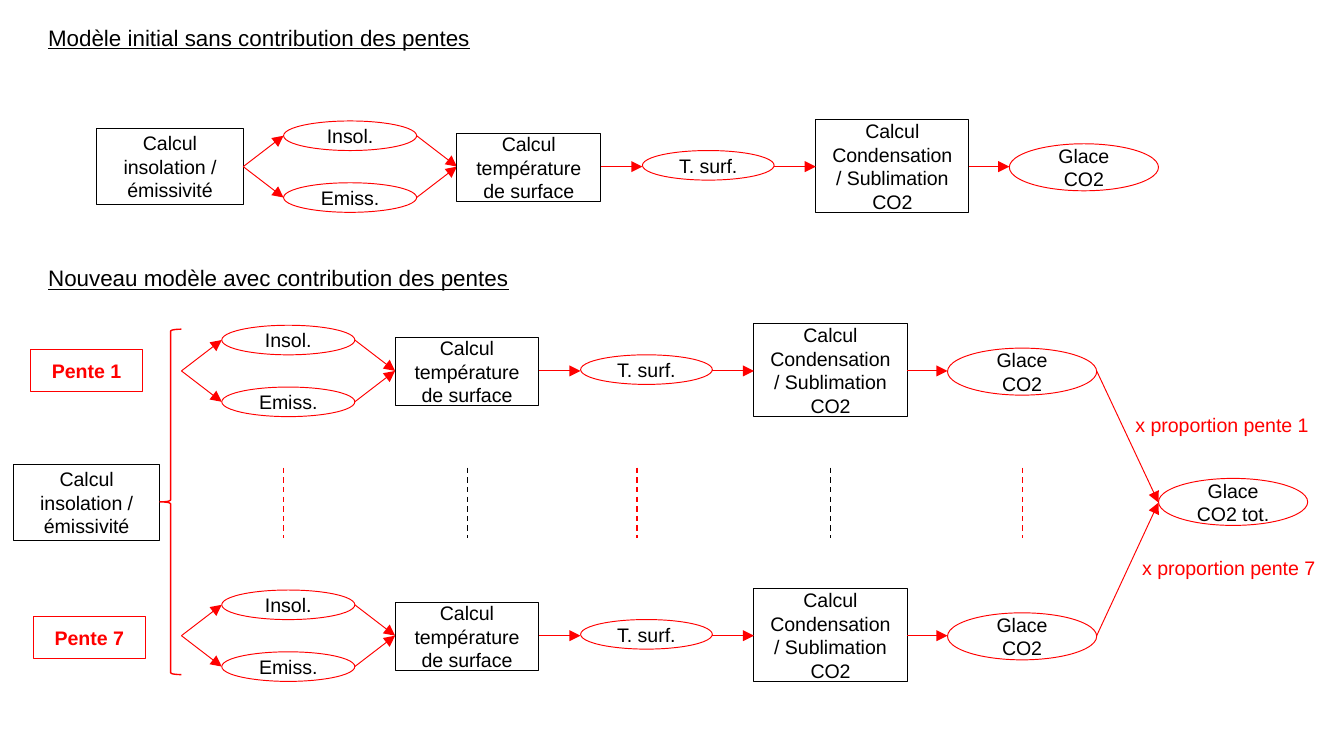
from lxml import etree
from pptx import Presentation
from pptx.dml.color import RGBColor
from pptx.enum.dml import MSO_LINE
from pptx.enum.shapes import MSO_CONNECTOR, MSO_SHAPE
from pptx.enum.text import MSO_ANCHOR, PP_ALIGN
from pptx.oxml.ns import qn
from pptx.util import Inches, Pt

RECT, OVAL, BRACE = MSO_SHAPE.RECTANGLE, MSO_SHAPE.OVAL, MSO_SHAPE.LEFT_BRACE
STRAIGHT = MSO_CONNECTOR.STRAIGHT
DASH = MSO_LINE.DASH
MIDDLE, CENTER = MSO_ANCHOR.MIDDLE, PP_ALIGN.CENTER
BLACK = RGBColor(0x00, 0x00, 0x00)
RED = RGBColor(0xFF, 0x00, 0x00)

# 16:9 slide
prs = Presentation()
prs.slide_width, prs.slide_height = Inches(10), Inches(10 * 9 / 16)
s = prs.slides.add_slide(prs.slide_layouts[6])


def add_node(kind, x, y, w, h, text="", line=BLACK, color=BLACK, bold=False, width=0.5):
    sp = s.shapes.add_shape(kind, Inches(x), Inches(y), Inches(w), Inches(h))
    sp.shadow.inherit = False
    sp.fill.background()
    sp.line.color.rgb = line
    sp.line.width = Pt(width)
    if text:
        tf = sp.text_frame
        tf.word_wrap = True
        tf.vertical_anchor = MIDDLE
        p = tf.paragraphs[0]
        p.alignment = CENTER
        r = p.add_run()
        r.text = text
        r.font.name, r.font.size, r.font.bold = "Arial", Pt(10.5), bold
        r.font.color.rgb = color


def add_line(x1, y1, x2, y2, color=RED, dashed=False):
    c = s.shapes.add_connector(STRAIGHT, Inches(x1), Inches(y1), Inches(x2), Inches(y2))
    c.line.color.rgb = color
    c.line.width = Pt(0.75 if dashed else 0.5)
    if dashed:
        c.line.dash_style = DASH
    else:
        etree.SubElement(c.line._get_or_add_ln(), qn("a:tailEnd"), type="triangle")
    etree.SubElement(c._element.spPr, qn("a:effectLst"))


# Headings and proportion labels
for x, y, w, h, text, size, color, underline in [
    (0.26, 0.13, 7.9, 0.3, "Modèle initial sans contribution des pentes", 12, BLACK, True),
    (0.26, 1.92, 8.08, 0.3, "Nouveau modèle avec contribution des pentes", 12, BLACK, True),
    (8.35, 3.02, 1.55, 0.28, "x proportion pente 1", 10.5, RED, False),
    (8.4, 4.09, 1.55, 0.28, "x proportion pente 7", 10.5, RED, False),
]:
    tf = s.shapes.add_textbox(Inches(x), Inches(y), Inches(w), Inches(h)).text_frame
    tf.word_wrap = True
    r = tf.paragraphs[0].add_run()
    r.text = text
    r.font.name, r.font.size, r.font.underline = "Arial", Pt(size), underline
    r.font.color.rgb = color

# Insolation / emissivity step of each model
for x, y in [(0.72, 0.96), (0.1, 3.46)]:
    add_node(RECT, x, y, 1.09, 0.56, "Calcul insolation / émissivité")

# Processing chains: initial model, slope 1, slope 7 (start x, axis y)
for x, y in [(1.81, 1.24), (1.35, 2.76), (1.35, 4.73)]:
    for label, dy in [("Insol.", -0.23), ("Emiss.", 0.23)]:
        add_node(OVAL, x + 0.3, y + dy - 0.11, 0.99, 0.22, label, RED)
        add_line(x, y, x + 0.3, y + dy)
        add_line(x + 1.29, y + dy, x + 1.59, y)
    add_node(RECT, x + 1.59, y - 0.25, 1.07, 0.51, "Calcul température de surface")
    add_node(OVAL, x + 2.97, y - 0.12, 0.98, 0.22, "T. surf.", RED)
    add_node(RECT, x + 4.26, y - 0.35, 1.14, 0.69, "Calcul Condensation / Sublimation CO2")
    add_node(OVAL, x + 5.7, y - 0.17, 1.11, 0.35, "Glace CO2", RED)
    for start, end in [(2.66, 2.97), (3.95, 4.26), (5.4, 5.7)]:
        add_line(x + start, y, x + end, y)

# Slope labels and brace
add_node(RECT, 0.23, 2.6, 0.83, 0.31, "Pente 1", RED, RED, True)
add_node(RECT, 0.25, 4.59, 0.83, 0.31, "Pente 7", RED, RED, True)
add_node(BRACE, 1.19, 2.45, 0.16, 2.57, line=RED, width=0.75)

# Dashed lines for the slopes in between
for x, color in [(2.11, RED), (3.48, BLACK), (4.74, RED), (6.18, BLACK), (7.61, RED)]:
    add_line(x, 3.48, x, 4, color, dashed=True)

# Total CO2 ice
for y in (2.76, 4.73):
    add_line(8.16, y, 8.62, 3.74)
add_node(OVAL, 8.62, 3.56, 1.11, 0.35, "Glace CO2 tot.", RED)

prs.save("out.pptx")
